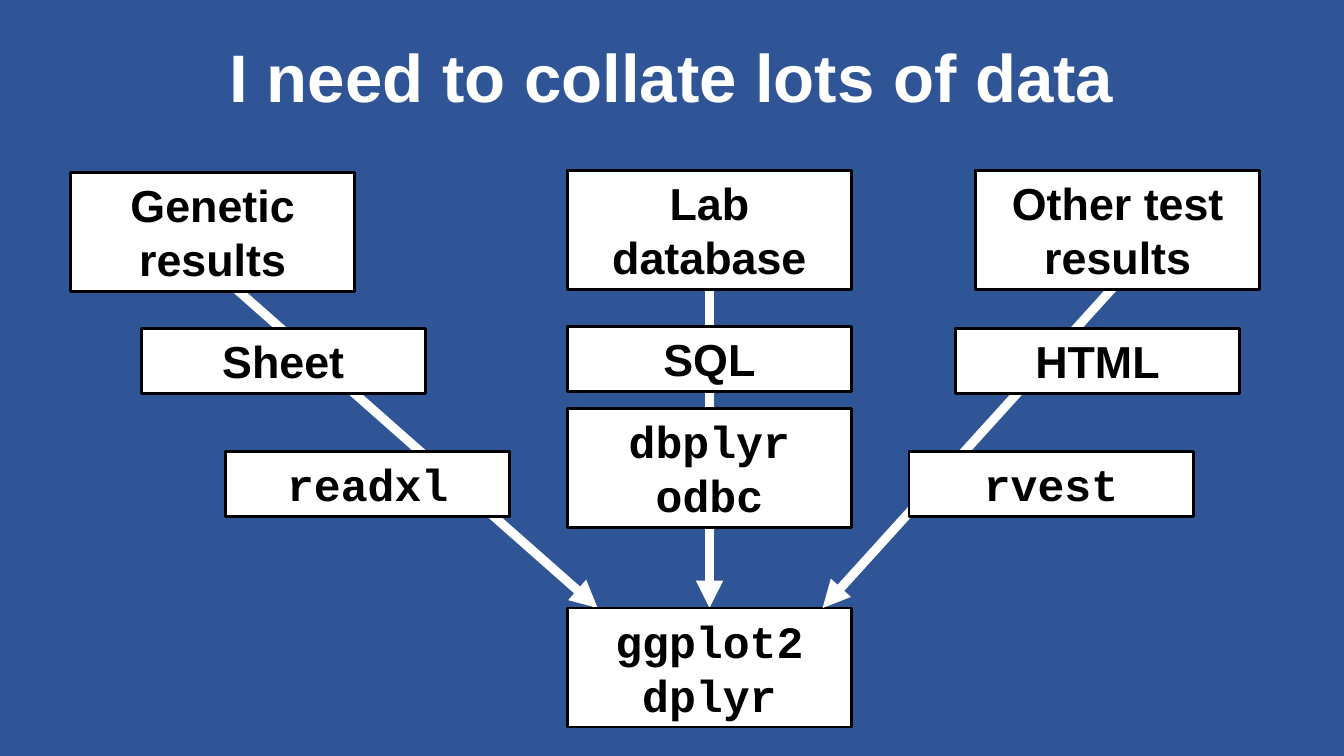
from pptx import Presentation
from pptx.dml.color import RGBColor
from pptx.enum.shapes import MSO_CONNECTOR as Link, MSO_SHAPE as Shape
from pptx.enum.text import MSO_ANCHOR as Anchor, PP_ALIGN as Align
from pptx.oxml.ns import qn
from pptx.util import Cm, Pt
from lxml.etree import SubElement

BLUE = RGBColor(0x2F, 0x55, 0x97)
WHITE = RGBColor(0xFF, 0xFF, 0xFF)
BLACK = RGBColor(0x00, 0x00, 0x00)
SANS, MONO = "Arial", "Courier New"

# Box sizes in cm: one width, a height for one line and for two
WIDE, LOW, TALL = 7.16, 1.63, 3.0
MID, END = 14.3, 15.32  # left and top of the final box


class Deck:
    def __init__(self):
        self.prs = Presentation()
        self.prs.slide_width, self.prs.slide_height = Cm(33.87), Cm(19.05)
        self.slide = self.prs.slides.add_slide(self.prs.slide_layouts[5])
        fill = self.slide.background.fill
        fill.solid()
        fill.fore_color.rgb = BLUE

    def label(self, frame, lines, font, size, color):
        frame.word_wrap = True
        frame.vertical_anchor = Anchor.MIDDLE
        for i, line in enumerate(lines):
            para = frame.add_paragraph() if i else frame.paragraphs[0]
            para.alignment = Align.CENTER
            run = para.add_run()
            run.text = line
            run.font.name, run.font.size = font, Pt(size)
            run.font.bold = True
            run.font.color.rgb = color

    def title(self, text):
        head = self.slide.shapes.title
        head.left, head.top = Cm(0.89), Cm(0.74)
        head.width, head.height = Cm(32.1), Cm(2.31)
        self.label(head.text_frame, [text], SANS, 48, WHITE)

    def box(self, home, x, y, high, font, *lines):
        rect = home.add_shape(Shape.RECTANGLE, Cm(x), Cm(y), Cm(WIDE), Cm(high))
        rect.shadow.inherit = False
        rect.fill.solid()
        rect.fill.fore_color.rgb = WHITE
        rect.line.color.rgb = BLACK
        rect.line.width = Pt(2)
        self.label(rect.text_frame, lines, font, 32, BLACK)

    def arrow(self, home, start, end):
        link = home.add_connector(Link.STRAIGHT, *map(Cm, start + end))
        link.line.color.rgb = WHITE
        link.line.width = Pt(6.5)
        props = link.element.spPr
        SubElement(props.find(qn("a:ln")), qn("a:tailEnd"), type="triangle")
        SubElement(props, qn("a:effectLst"))

    def route(self, start, end, boxes):
        home = self.slide.shapes.add_group_shape().shapes
        self.arrow(home, start, end)
        for box in boxes:
            self.box(home, *box)


def main():
    deck = Deck()
    deck.title("I need to collate lots of data")

    # Left route: genetic results from a spreadsheet
    deck.route((5.36, 6.76), (15.06, END), [
        (1.78, 4.34, TALL, SANS, "Genetic results"),
        (3.56, 8.28, LOW, SANS, "Sheet"),
        (5.69, 11.38, LOW, MONO, "readxl"),
    ])

    # Middle route: lab database
    axis = MID + WIDE / 2
    deck.route((axis, 7.29), (axis, END), [
        (MID, 4.29, TALL, SANS, "Lab database"),
        (MID, 8.23, LOW, SANS, "SQL"),
        (MID, 10.29, TALL, MONO, "dbplyr", "odbc"),
    ])

    # Shared end point
    deck.box(deck.slide.shapes, MID, END, TALL, MONO, "ggplot2", "dplyr")

    # Right route: other tests from web pages
    deck.route((28.22, 7.06), (20.73, END), [
        (24.59, 4.29, TALL, SANS, "Other test results"),
        (24.08, 8.28, LOW, SANS, "HTML"),
        (22.91, 11.38, LOW, MONO, "rvest"),
    ])

    deck.prs.save("out.pptx")


if __name__ == "__main__":
    main()
